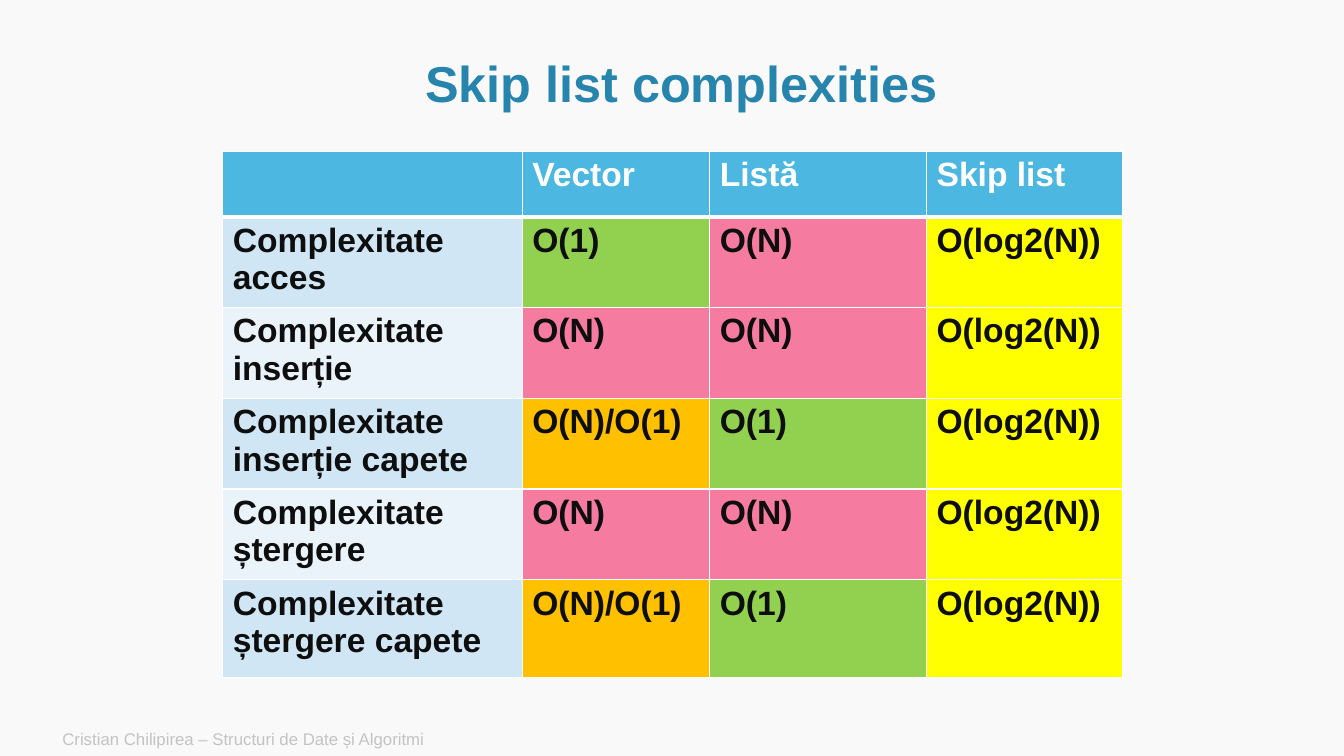
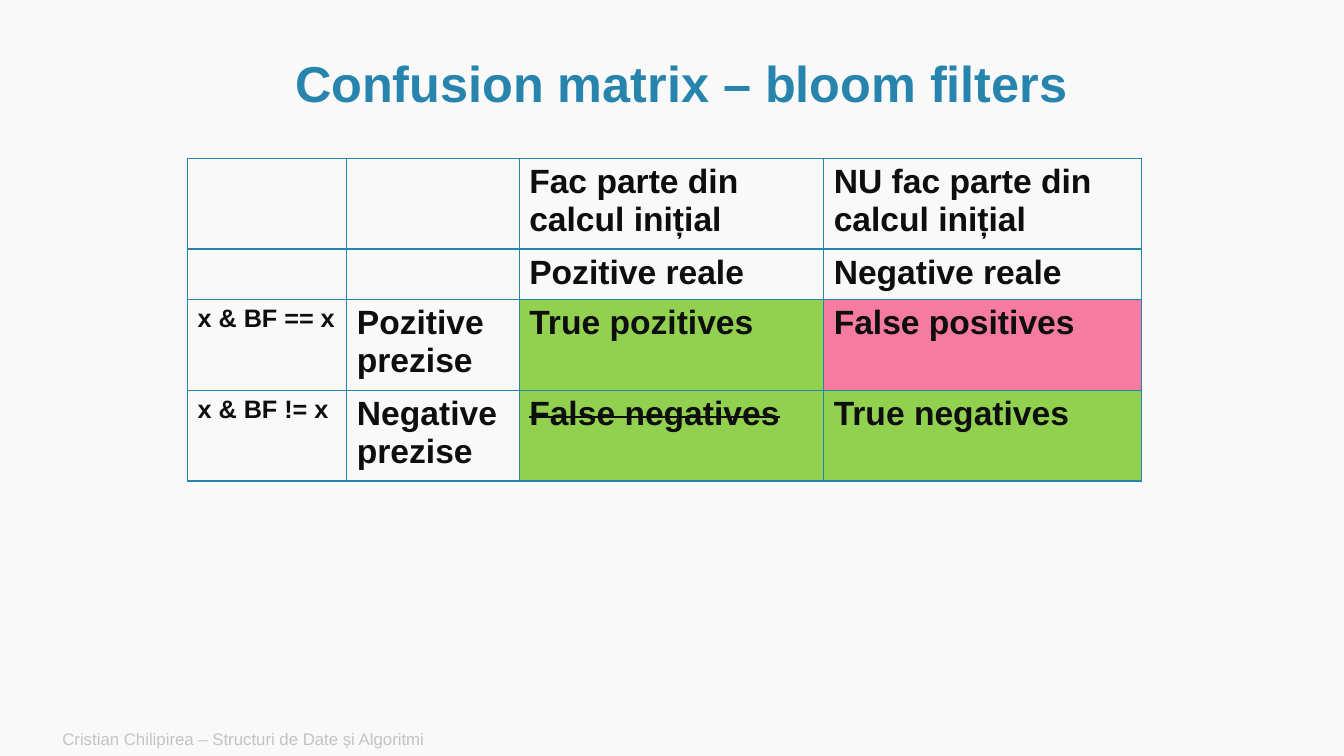
"""Build two slides: skip list complexities and a Bloom filter confusion matrix."""
from lxml import etree
from pptx import Presentation
from pptx.dml.color import RGBColor
from pptx.enum import text
from pptx.oxml import ns
from pptx.util import Inches, Pt

BACK = RGBColor(0xF9, 0xF9, 0xF9)
BLUE = RGBColor(0x27, 0x85, 0xAD)
SKY = RGBColor(0x4C, 0xB7, 0xE1)
PALE = RGBColor(0xD0, 0xE6, 0xF4)
ICE = RGBColor(0xE9, 0xF3, 0xF9)
GREEN = RGBColor(0x92, 0xD0, 0x50)
PINK = RGBColor(0xF5, 0x7B, 0xA1)
GOLD = RGBColor(0xFF, 0xC0, 0x00)
YELLOW = RGBColor(0xFF, 0xFF, 0x00)
WHITE = RGBColor(0xFF, 0xFF, 0xFF)
BLACK = RGBColor(0x0E, 0x0E, 0x0E)
GREY = RGBColor(0xC3, 0xC3, 0xC3)
FOOTER = "Cristian Chilipirea – Structuri de Date și Algoritmi"
STRUCK = "False negatives"


def write(frame, words, size, color, bold=True):
    """Fill a text frame with one paragraph."""
    frame.word_wrap = True
    para = frame.paragraphs[0]
    para.font.name = "Arial"
    para.font.size = Pt(size)
    para.font.bold = bold
    para.font.color.rgb = color
    if words:
        run = para.add_run()
        run.text = words
        if words == STRUCK:
            run._r.get_or_add_rPr().set("strike", "sngStrike")
    return para


def border(cell, side, color, width):
    """Draw one side of a table cell."""
    line = etree.SubElement(cell._tc.get_or_add_tcPr(), ns.qn("a:ln" + side), w=str(Pt(width)))
    fill = etree.SubElement(line, ns.qn("a:solidFill"))
    etree.SubElement(fill, ns.qn("a:srgbClr"), val=str(color))


costs = {"O(1)": GREEN, "O(N)": PINK, "O(N)/O(1)": GOLD, "O(log2(N))": YELLOW}
marks = {"True pozitives": GREEN, "False positives": PINK, STRUCK: GREEN, "True negatives": GREEN}
decks = [
    {
        "title": "Skip list complexities",
        "place": (2.21, 1.5),
        "cols": [2.97, 1.86, 2.15, 1.94],
        "rows": [0.65, 0.84, 0.84, 0.84, 0.84, 0.97],
        "line": WHITE,
        "head": True,
        "fills": costs,
        "cells": [
            ["", "Vector", "Listă", "Skip list"],
            ["Complexitate acces", "O(1)", "O(N)", "O(log2(N))"],
            ["Complexitate inserție", "O(N)", "O(N)", "O(log2(N))"],
            ["Complexitate inserție capete", "O(N)/O(1)", "O(1)", "O(log2(N))"],
            ["Complexitate ștergere", "O(N)", "O(N)", "O(log2(N))"],
            ["Complexitate ștergere capete", "O(N)/O(1)", "O(1)", "O(log2(N))"],
        ],
    },
    {
        "title": "Confusion matrix – bloom filters",
        "place": (1.86, 1.57),
        "cols": [1.58, 1.71, 3.02, 3.15],
        "rows": [0.84, 0.47, 0.84, 0.84],
        "line": BLUE,
        "head": False,
        "fills": marks,
        "cells": [
            ["", "", "Fac parte din calcul inițial", "NU fac parte din calcul inițial"],
            ["", "", "Pozitive reale", "Negative reale"],
            ["x & BF == x", "Pozitive prezise", "True pozitives", "False positives"],
            ["x & BF != x", "Negative prezise", STRUCK, "True negatives"],
        ],
    },
]

prs = Presentation()
prs.slide_width = Inches(13.33)
prs.slide_height = Inches(7.5)
back = prs.slide_master.background.fill
back.solid()
back.fore_color.rgb = BACK

for deck in decks:
    slide = prs.slides.add_slide(prs.slide_layouts[6])
    title = slide.shapes.add_textbox(Inches(1.01), Inches(0.51), Inches(11.5), Inches(0.69))
    title.text_frame.vertical_anchor = text.MSO_ANCHOR.MIDDLE
    para = write(title.text_frame, deck["title"], 36, BLUE)
    para.alignment = text.PP_ALIGN.CENTER
    para.line_spacing = 0.9

    cols, rows, head = deck["cols"], deck["rows"], deck["head"]
    left, top = deck["place"]
    table = slide.shapes.add_table(len(rows), len(cols), Inches(left), Inches(top),
                                   Inches(sum(cols)), Inches(sum(rows))).table
    table.first_row = head
    table.horz_banding = False
    for col, width in zip(table.columns, cols):
        col.width = Inches(width)
    for row, height in zip(table.rows, rows):
        row.height = Inches(height)

    for r, line in enumerate(deck["cells"]):
        for c, words in enumerate(line):
            cell = table.cell(r, c)
            for side in "LRTB":
                thick = head and (r, side) in ((0, "B"), (1, "T"))
                border(cell, side, deck["line"], 3 if thick else 1)
            shade = deck["fills"].get(words)
            if head and r == 0:
                shade = SKY
            elif head and c == 0:
                shade = PALE if r % 2 else ICE
            if shade is None:
                cell.fill.background()
            else:
                cell.fill.solid()
                cell.fill.fore_color.rgb = shade
            size = 18 if c == 0 and not head else 24
            write(cell.text_frame, words, size, WHITE if head and r == 0 else BLACK)

    foot = slide.shapes.add_textbox(Inches(0.52), Inches(7.16), Inches(8.4), Inches(0.34))
    foot.text_frame.vertical_anchor = text.MSO_ANCHOR.MIDDLE
    write(foot.text_frame, FOOTER, 12, GREY, False)

prs.save("out.pptx")
